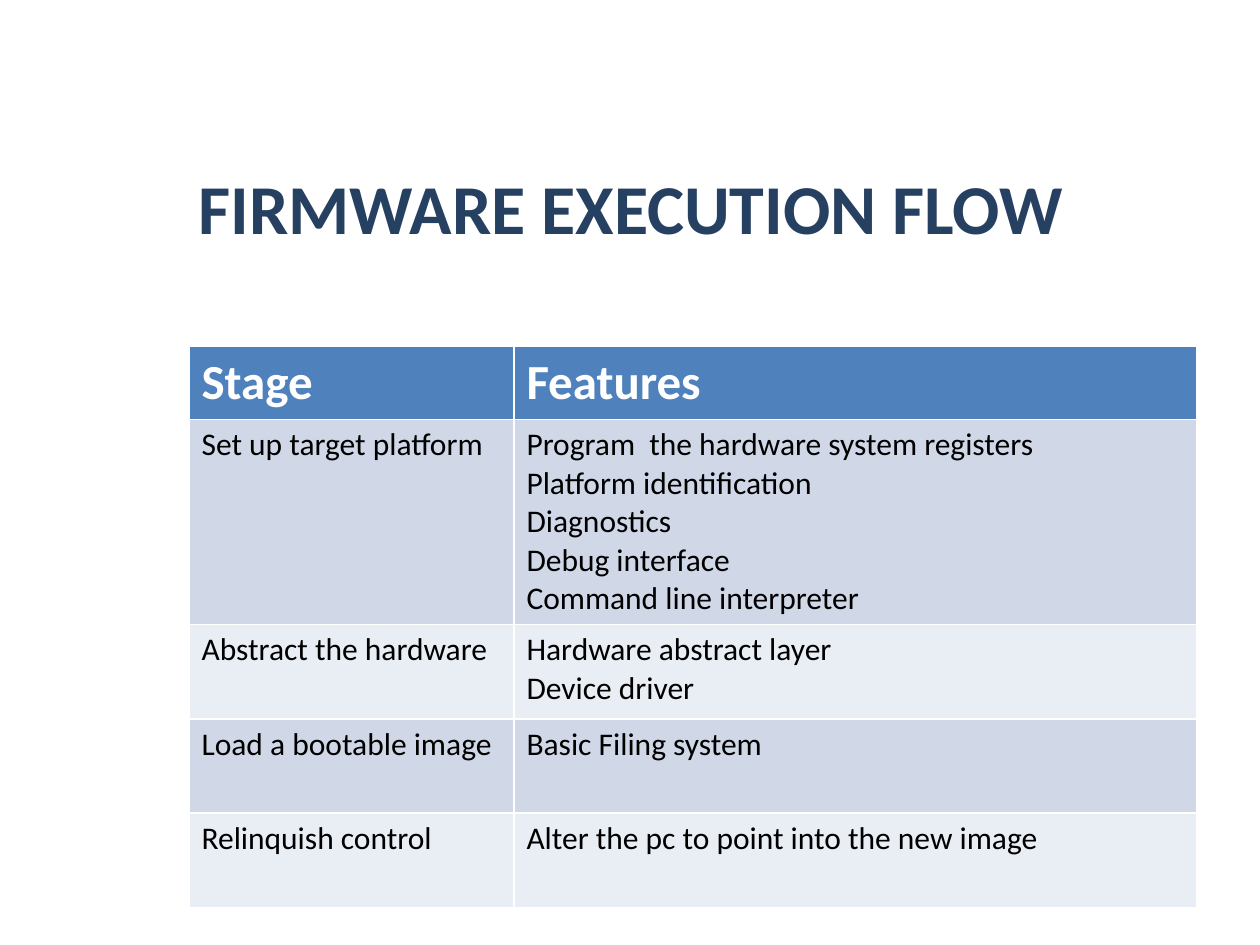
from pptx import Presentation
from pptx.dml.color import RGBColor
from pptx.enum.text import MSO_ANCHOR, PP_ALIGN
from pptx.util import Cm, Pt

CENTER, LEFT = PP_ALIGN.CENTER, PP_ALIGN.LEFT
MIDDLE = MSO_ANCHOR.MIDDLE

FONT = "Calibri"
TITLE = "FIRMWARE EXECUTION FLOW"
HEADER = ("Stage", "Features")
STAGES = [
    ("Set up target platform",
     "Program  the hardware system registers\nPlatform identification\n"
     "Diagnostics\nDebug interface\nCommand line interpreter"),
    ("Abstract the hardware", "Hardware abstract layer\vDevice driver"),
    ("Load a bootable image", "Basic Filing system"),
    ("Relinquish control", "Alter the pc to point into the new image"),
]
HEADER_FILL, BANDS = "4F81BD", ("D0D8E8", "E9EDF4")
COLUMN_WIDTHS = (6.55, 13.77)
HEADER_HEIGHT, ROW_HEIGHT = 1.47, 1.9


def color(value):
    """Return the colour for a hex string."""
    return RGBColor.from_string(value)


def write(text_frame, text, size, font_color, bold, alignment):
    """Fill a text frame and format each of its paragraphs."""
    text_frame.text = text
    for paragraph in text_frame.paragraphs:
        paragraph.alignment = alignment
        font = paragraph.font
        font.name, font.size, font.bold = FONT, Pt(size), bold
        font.color.rgb = color(font_color)


def add_title(slide):
    """Place and format the title."""
    title = slide.shapes.title
    title.left, title.top, title.width, title.height = Cm(1.07), Cm(2.11), Cm(23.29), Cm(4.09)
    title.text_frame.vertical_anchor = MIDDLE
    write(title.text_frame, TITLE, 40, "254061", True, CENTER)


def add_stage_table(slide):
    """Add the table of stages and their features."""
    rows = [HEADER, *STAGES]
    heights = [HEADER_HEIGHT] + [ROW_HEIGHT] * len(STAGES)
    table = slide.shapes.add_table(
        len(rows), len(HEADER), Cm(3.81), Cm(6.99),
        Cm(sum(COLUMN_WIDTHS)), Cm(sum(heights))).table
    for column, width in zip(table.columns, COLUMN_WIDTHS):
        column.width = Cm(width)
    for row_index, (texts, height) in enumerate(zip(rows, heights)):
        table.rows[row_index].height = Cm(height)
        is_header = row_index == 0
        fill = HEADER_FILL if is_header else BANDS[(row_index - 1) % 2]
        size, font_color = (28, "FFFFFF") if is_header else (18, "000000")
        for column_index, text in enumerate(texts):
            cell = table.cell(row_index, column_index)
            cell.fill.solid()
            cell.fill.fore_color.rgb = color(fill)
            write(cell.text_frame, text, size, font_color, is_header, LEFT)


def main():
    """Build the slide and save it."""
    presentation = Presentation()
    presentation.slide_width, presentation.slide_height = Cm(25.4), Cm(19.05)
    slide = presentation.slides.add_slide(presentation.slide_layouts[0])
    subtitle = slide.placeholders[1].element
    subtitle.getparent().remove(subtitle)
    add_title(slide)
    add_stage_table(slide)
    presentation.save("out.pptx")


if __name__ == "__main__":
    main()
